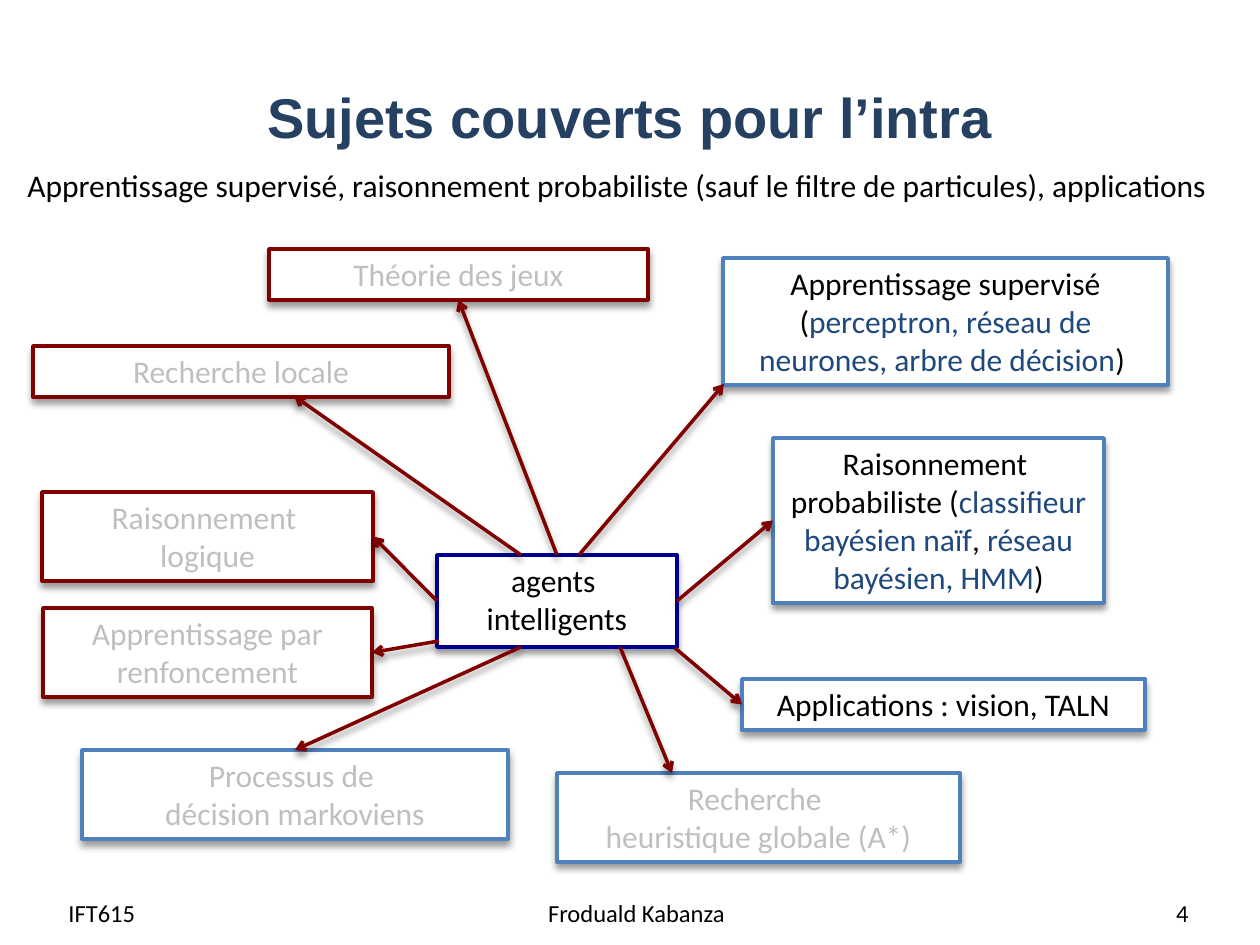
from dataclasses import dataclass
from typing import Optional

from lxml.etree import SubElement
from pptx import Presentation
from pptx.dml.color import RGBColor
from pptx.enum.shapes import MSO_CONNECTOR, MSO_SHAPE
from pptx.enum.text import MSO_ANCHOR, MSO_AUTO_SIZE, PP_ALIGN
from pptx.oxml.ns import qn
from pptx.util import Emu, Pt

BLACK, GREY, WHITE = "000000", "BFBFBF", "FFFFFF"
NAVY, BLUE, RED = "000090", "4F81BD", "800000"
TITLE, TERM = "254061", "1F497D"
TOP, LEFT, BOTTOM, RIGHT = range(4)


@dataclass(frozen=True)
class Box:
    key: str
    x: int
    y: int
    w: int
    h: int
    edge: str
    ink: str
    lines: tuple[str, ...]


@dataclass(frozen=True)
class Link:
    goal: str
    start: tuple[int, int]
    end: tuple[int, int]
    out: Optional[int] = None
    into: Optional[int] = None


@dataclass(frozen=True)
class Label:
    x: int
    y: int
    w: int
    h: int
    text: str
    size: int
    align: PP_ALIGN
    wrap: bool = True


BOXES = (
    Box("agents", 437, 555, 240, 92, NAVY, BLACK, ("agents ", "intelligents")),
    Box("search", 557, 773, 403, 89, BLUE, GREY, ("Recherche ", "heuristique globale (A*)")),
    Box("games", 269, 249, 379, 51, RED, GREY, ("Théorie des jeux",)),
    Box("local", 33, 346, 416, 51, RED, GREY, ("Recherche locale",)),
    Box("bayes", 773, 438, 331, 165, BLUE, BLACK, (
        "Raisonnement ",
        "probabiliste (|classifieur bayésien naïf|, |réseau bayésien, HMM|)")),
    Box("markov", 82, 750, 426, 89, BLUE, GREY, ("Processus de ", "décision markoviens")),
    Box("reward", 43, 608, 329, 89, RED, GREY, ("Apprentissage par renfoncement",)),
    Box("logic", 42, 492, 331, 89, RED, GREY, ("Raisonnement ", "logique")),
    Box("learning", 723, 258, 445, 127, BLUE, BLACK, (
        "Apprentissage supervisé (|perceptron, réseau de neurones, arbre de décision|) ",)),
    Box("uses", 742, 679, 403, 51, BLUE, BLACK, ("Applications : vision, TALN",)),
)

LINKS = (
    Link("games", (557, 555), (459, 300), TOP, BOTTOM),
    Link("local", (521, 555), (294, 396)),
    Link("search", (620, 647), (672, 773)),
    Link("bayes", (677, 601), (773, 520), RIGHT, LEFT),
    Link("markov", (521, 647), (295, 750), None, TOP),
    Link("reward", (439, 641), (372, 652), None, RIGHT),
    Link("logic", (437, 601), (373, 536), LEFT, RIGHT),
    Link("learning", (579, 555), (724, 384)),
    Link("uses", (675, 648), (742, 704), None, LEFT),
)

LABELS = (
    Label(15, 160, 1210, 50, "Apprentissage supervisé, raisonnement probabiliste "
          "(sauf le filtre de particules), applications", 18, PP_ALIGN.LEFT, False),
    Label(56, 888, 243, 50, "IFT615", 14, PP_ALIGN.LEFT),
    Label(437, 888, 399, 50, "Froduald Kabanza", 14, PP_ALIGN.CENTER),
    Label(907, 888, 294, 50, "4", 14, PP_ALIGN.RIGHT),
)


def px(n: int) -> Emu:
    return Emu(round(n * 914400 / 126))


def rgb(code: str) -> RGBColor:
    return RGBColor.from_string(code)


def style(run, size: int, ink: str, face: str = "Calibri", bold: bool = False) -> None:
    run.font.size = Pt(size)
    run.font.name = face
    run.font.bold = bold
    run.font.color.rgb = rgb(ink)


def stroke(shape, ink: str) -> None:
    shape.line.color.rgb = rgb(ink)
    shape.line.width = Pt(2)
    group = SubElement(shape._element.spPr, qn("a:effectLst"))
    shade = SubElement(group, qn("a:outerShdw"), blurRad=str(Pt(4)), dist=str(Pt(3)),
                       dir="5400000", rotWithShape="0")
    tint = SubElement(shade, qn("a:srgbClr"), val=BLACK)
    SubElement(tint, qn("a:alpha"), val="40000")


def draw_box(slide, box: Box):
    shape = slide.shapes.add_shape(
        MSO_SHAPE.RECTANGLE, px(box.x), px(box.y), px(box.w), px(box.h))
    shape.fill.solid()
    shape.fill.fore_color.rgb = rgb(WHITE)
    stroke(shape, box.edge)
    frame = shape.text_frame
    frame.word_wrap = True
    frame.auto_size = MSO_AUTO_SIZE.SHAPE_TO_FIT_TEXT
    frame.vertical_anchor = MSO_ANCHOR.TOP
    for i, line in enumerate(box.lines):
        para = frame.add_paragraph() if i else frame.paragraphs[0]
        para.alignment = PP_ALIGN.CENTER
        for j, part in enumerate(line.split("|")):
            run = para.add_run()
            run.text = part
            style(run, 18, TERM if j % 2 else box.ink)
    return shape


def draw_link(slide, link: Link, nodes: dict) -> None:
    line = slide.shapes.add_connector(
        MSO_CONNECTOR.STRAIGHT, *map(px, link.start + link.end))
    if link.out is not None:
        line.begin_connect(nodes["agents"], link.out)
    if link.into is not None:
        line.end_connect(nodes[link.goal], link.into)
    stroke(line, RED)
    SubElement(line.line._get_or_add_ln(), qn("a:tailEnd"), type="arrow")


def draw_label(slide, label: Label) -> None:
    shape = slide.shapes.add_textbox(
        px(label.x), px(label.y), px(label.w), px(label.h))
    frame = shape.text_frame
    frame.word_wrap = label.wrap
    frame.vertical_anchor = MSO_ANCHOR.MIDDLE
    frame.text = label.text
    para = frame.paragraphs[0]
    para.alignment = label.align
    style(para.runs[0], label.size, BLACK)


def draw_title(slide, text: str) -> None:
    title = slide.shapes.title
    title.left, title.top, title.width, title.height = map(px, (63, 38, 1134, 157))
    frame = title.text_frame
    frame.text = text
    frame.vertical_anchor = MSO_ANCHOR.MIDDLE
    para = frame.paragraphs[0]
    para.alignment = PP_ALIGN.CENTER
    style(para.runs[0], 32, TITLE, "Arial", True)


def main() -> None:
    deck = Presentation()
    deck.slide_width, deck.slide_height = px(1260), px(945)
    slide = deck.slides.add_slide(deck.slide_layouts[5])
    draw_title(slide, "Sujets couverts pour l’intra")
    nodes = {box.key: draw_box(slide, box) for box in BOXES}
    for link in LINKS:
        draw_link(slide, link, nodes)
    for label in LABELS:
        draw_label(slide, label)
    deck.save("out.pptx")


if __name__ == "__main__":
    main()
